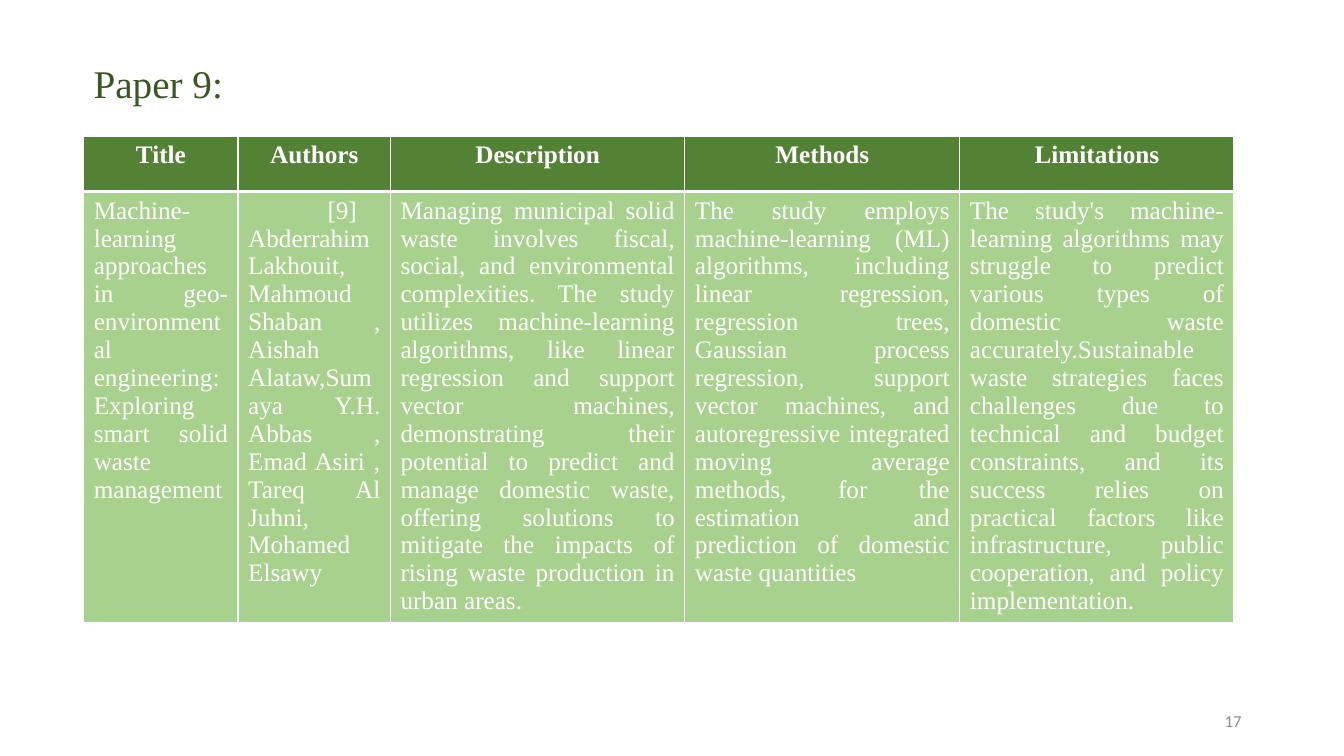
from lxml.etree import SubElement
from pptx import Presentation
from pptx.dml.color import RGBColor
from pptx.enum.text import MSO_ANCHOR, MSO_AUTO_SIZE, PP_ALIGN
from pptx.oxml.ns import qn
from pptx.util import Cm, Pt

HEADING = "Paper 9:"
PAGE_NUMBER = "17"
COLUMNS = [  # header, body, width in cm
    ("Title",
     "Machine-learning approaches in geo-environmental engineering: "
     "Exploring smart solid waste management", 3.89),
    ("Authors",
     "[9] Abderrahim Lakhouit, Mahmoud Shaban , Aishah Alataw,Sumaya "
     "Y.H. Abbas , Emad Asiri , Tareq Al Juhni, Mohamed Elsawy ", 3.84),
    ("Description",
     "Managing municipal solid waste involves fiscal, social, and environmental "
     "complexities. The study utilizes machine-learning algorithms, like linear "
     "regression and support vector machines, demonstrating their potential to "
     "predict and manage domestic waste, offering solutions to mitigate the "
     "impacts of rising waste production in urban areas.", 7.42),
    ("Methods",
     "The study employs machine-learning (ML) algorithms, including linear "
     "regression, regression trees, Gaussian process regression, support vector "
     "machines, and autoregressive integrated moving average methods, for the "
     "estimation and prediction of domestic waste quantities", 6.93),
    ("Limitations",
     "The study's machine-learning algorithms may struggle to predict various "
     "types of domestic waste accurately.Sustainable waste strategies faces "
     "challenges due to technical and budget constraints, and its success relies "
     "on practical factors like infrastructure, public cooperation, and policy "
     "implementation.", 6.91),
]
ROW_HEIGHTS = (1.4, 10.87)
AUTHORS_COLUMN = 1
AUTHORS_INDENT = Cm(2)

SERIF = "Times New Roman"
WHITE = RGBColor(0xFF, 0xFF, 0xFF)
HEADER_GREEN = RGBColor(0x54, 0x82, 0x35)
BODY_GREEN = RGBColor(0xA9, 0xD1, 0x8E)
DARK_GREEN = RGBColor(0x38, 0x57, 0x23)
GREY = RGBColor(0x8C, 0x8C, 0x8C)
LEFT = Cm(2.11)


def style_paragraph(paragraph, text, font_name, size, color, alignment, bold=False):
    paragraph.text = text
    paragraph.alignment = alignment
    font = paragraph.font
    font.name, font.size, font.bold = font_name, Pt(size), bold
    font.color.rgb = color


def add_text(slide, box, text, font_name, size, color, alignment, anchor):
    frame = slide.shapes.add_textbox(*box).text_frame
    frame.word_wrap = True
    frame.vertical_anchor = anchor
    style_paragraph(frame.paragraphs[0], text, font_name, size, color, alignment)
    return frame


def set_borders(cell, bottom_width):
    """Draw white lines on all four sides; the bottom one has its own width."""
    properties = cell._tc.get_or_add_tcPr()
    widths = {"lnL": 1, "lnR": 1, "lnT": 1, "lnB": bottom_width}
    for index, (side, width) in enumerate(widths.items()):
        line = SubElement(properties, qn(f"a:{side}"), w=str(Pt(width)))
        fill = SubElement(line, qn("a:solidFill"))
        SubElement(fill, qn("a:srgbClr"), val=str(WHITE))
        properties.insert(index, line)


def add_paper_table(slide):
    width = Cm(sum(column[2] for column in COLUMNS))
    table = slide.shapes.add_table(2, len(COLUMNS), LEFT, Cm(3.43), width,
                                   Cm(sum(ROW_HEIGHTS))).table
    for row, height in zip(table.rows, ROW_HEIGHTS):
        row.height = Cm(height)
    for index, (header, body, column_width) in enumerate(COLUMNS):
        table.columns[index].width = Cm(column_width)
        for row, text in enumerate((header, body)):
            is_header = row == 0
            cell = table.cell(row, index)
            cell.fill.solid()
            cell.fill.fore_color.rgb = HEADER_GREEN if is_header else BODY_GREEN
            set_borders(cell, 3 if is_header else 1)
            alignment = PP_ALIGN.CENTER if is_header else PP_ALIGN.JUSTIFY
            style_paragraph(cell.text_frame.paragraphs[0], text, SERIF, 18, WHITE,
                            alignment, is_header)
    authors = table.cell(1, AUTHORS_COLUMN).text_frame.paragraphs[0]
    authors._p.get_or_add_pPr().set("indent", str(AUTHORS_INDENT))


def main():
    presentation = Presentation()
    presentation.slide_width, presentation.slide_height = Cm(33.87), Cm(19.05)
    slide = presentation.slides.add_slide(presentation.slide_layouts[6])
    add_paper_table(slide)
    heading = add_text(slide, (LEFT, Cm(1.37), Cm(20.35), Cm(1.45)), HEADING, SERIF, 28,
                       DARK_GREEN, PP_ALIGN.LEFT, MSO_ANCHOR.TOP)
    heading.auto_size = MSO_AUTO_SIZE.SHAPE_TO_FIT_TEXT
    add_text(slide, (Cm(23.92), Cm(17.65), Cm(7.62), Cm(1.02)), PAGE_NUMBER, "Calibri", 12,
             GREY, PP_ALIGN.RIGHT, MSO_ANCHOR.MIDDLE)
    presentation.save("out.pptx")


if __name__ == "__main__":
    main()
